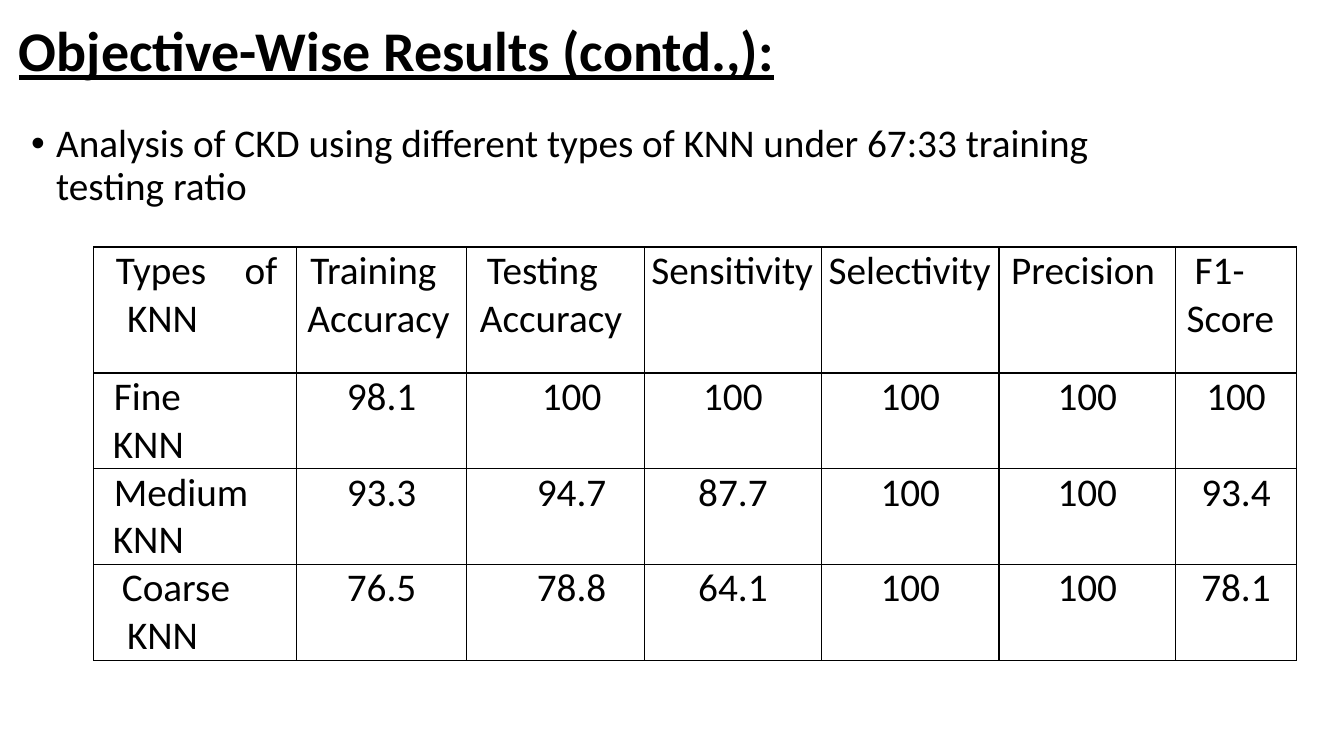
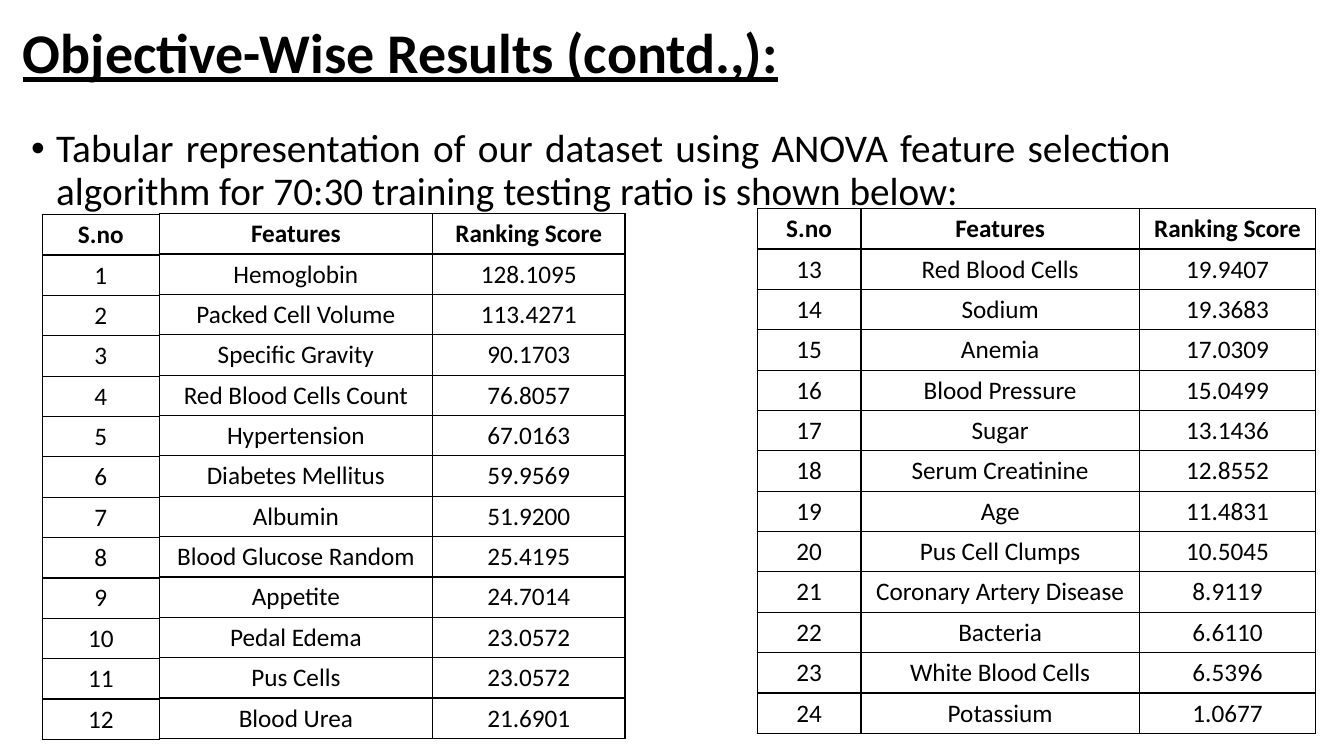
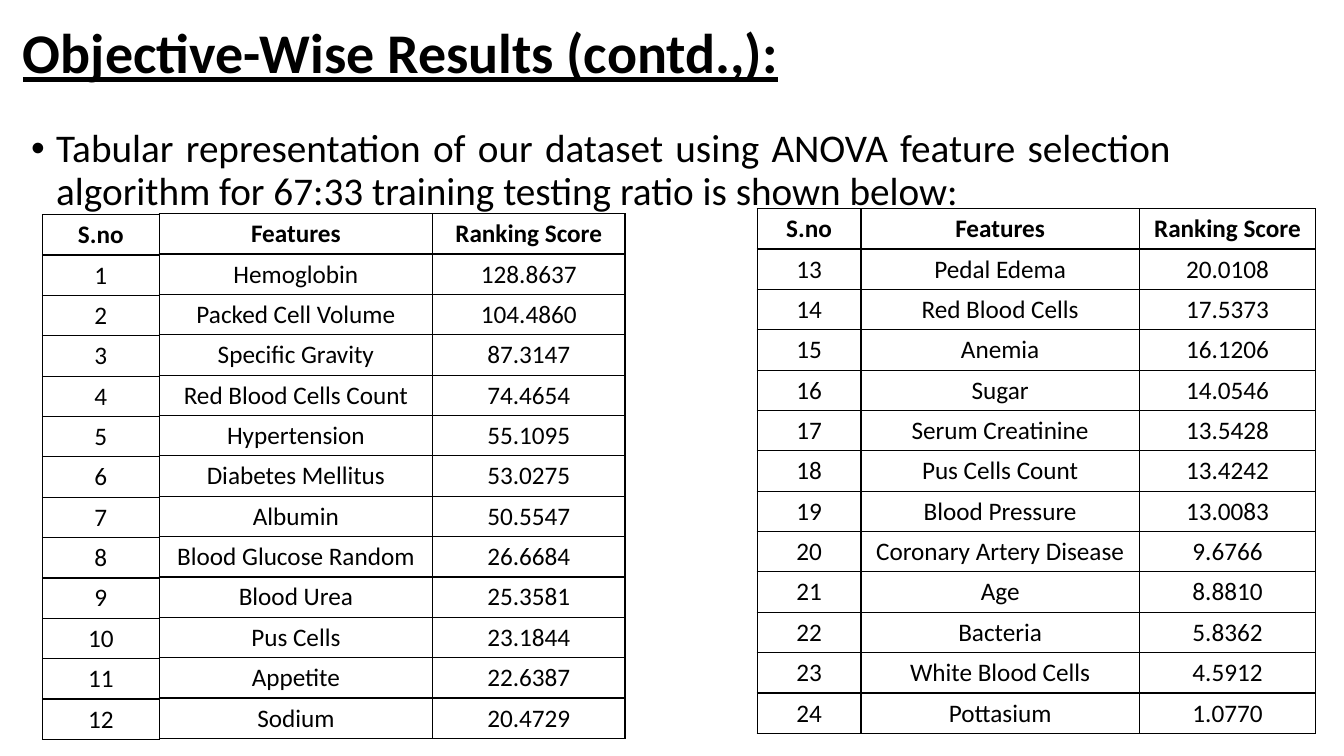
import lxml.etree
import pptx
import pptx.dml.color
import pptx.enum.text
import pptx.oxml.ns
import pptx.util

Inches = pptx.util.Inches
Pt = pptx.util.Pt
qn = pptx.oxml.ns.qn
ALIGN = pptx.enum.text.PP_ALIGN
ANCHOR = pptx.enum.text.MSO_ANCHOR
LEFT, MID, JUST = ALIGN.LEFT, ALIGN.CENTER, ALIGN.JUSTIFY

BLACK = pptx.dml.color.RGBColor(0, 0, 0)
TITLE = {"name": "Calibri", "size": Pt(40), "bold": True, "underline": True}
BODY = {"name": "Calibri", "size": Pt(28), "bold": False}
CELL = {"name": "Calibri", "size": Pt(18), "bold": False}
HEAD = {**CELL, "bold": True}

HEADING = "Objective-Wise Results (contd.,):"
KNN_NOTE = "Analysis of CKD using different types of KNN under 67:33 training testing ratio"
RANK_NOTE = (
    "Tabular representation of our dataset using ANOVA feature selection "
    "algorithm for {} training testing ratio is shown below:"
)

KNN_COLS = [2.01, 1.69, 1.76, 1.76, 1.76, 1.75, 1.2]
KNN_ROWS = [1.25, 0.95, 0.95, 0.95]
KNN_HEAD = [
    [("Types of KNN", JUST, 0.33, -0.11, 0.19)],
    [("Training Accuracy", JUST, 0.11, 0.03, 0)],
    [("Testing Accuracy", JUST, 0.13, 0.07, 0)],
    [("Sensitivity", JUST, 0.07, 0, 0)],
    [("Selectivity", JUST, 0.07, 0, 0)],
    [("Precision", JUST, 0.12, 0, 0)],
    [("F1-", JUST, 0.19, 0, 0), ("Score", JUST, 0.11, 0, 0)],
]
KNN_PADS = [(0.27, 0.27), (0.32, 0), (0.07, 0.07), (0.07, 0.07), (0.12, 0.12), (0.1, 0.1)]
KNN_DATA = [
    ("Fine", JUST, 0.2, 0.19, ["98.1", "100", "100", "100", "100", "100"]),
    ("Medium", JUST, 0.2, 0.19, ["93.3", "94.7", "87.7", "100", "100", "93.4"]),
    ("Coarse", LEFT, 0.28, 0.33, ["76.5", "78.8", "64.1", "100", "100", "78.1"]),
]

RANK_HEAD = ("S.no", "Features", "Ranking Score")
ROW = 0.4
HALF = 12
RANKS = {
    "70:30": [
        ("Hemoglobin", "128.1095"),
        ("Packed Cell Volume", "113.4271"),
        ("Specific Gravity", "90.1703"),
        ("Red Blood Cells Count", "76.8057"),
        ("Hypertension", "67.0163"),
        ("Diabetes Mellitus", "59.9569"),
        ("Albumin", "51.9200"),
        ("Blood Glucose Random", "25.4195"),
        ("Appetite", "24.7014"),
        ("Pedal Edema", "23.0572"),
        ("Pus Cells", "23.0572"),
        ("Blood Urea", "21.6901"),
        ("Red Blood Cells", "19.9407"),
        ("Sodium", "19.3683"),
        ("Anemia", "17.0309"),
        ("Blood Pressure", "15.0499"),
        ("Sugar", "13.1436"),
        ("Serum Creatinine", "12.8552"),
        ("Age", "11.4831"),
        ("Pus Cell Clumps", "10.5045"),
        ("Coronary Artery Disease", "8.9119"),
        ("Bacteria", "6.6110"),
        ("White Blood Cells", "6.5396"),
        ("Potassium", "1.0677"),
    ],
    "67:33": [
        ("Hemoglobin", "128.8637"),
        ("Packed Cell Volume", "104.4860"),
        ("Specific Gravity", "87.3147"),
        ("Red Blood Cells Count", "74.4654"),
        ("Hypertension", "55.1095"),
        ("Diabetes Mellitus", "53.0275"),
        ("Albumin", "50.5547"),
        ("Blood Glucose Random", "26.6684"),
        ("Blood Urea", "25.3581"),
        ("Pus Cells", "23.1844"),
        ("Appetite", "22.6387"),
        ("Sodium", "20.4729"),
        ("Pedal Edema", "20.0108"),
        ("Red Blood Cells", "17.5373"),
        ("Anemia", "16.1206"),
        ("Sugar", "14.0546"),
        ("Serum Creatinine", "13.5428"),
        ("Pus Cells Count", "13.4242"),
        ("Blood Pressure", "13.0083"),
        ("Coronary Artery Disease", "9.6766"),
        ("Age", "8.8810"),
        ("Bacteria", "5.8362"),
        ("White Blood Cells", "4.5912"),
        ("Pottasium", "1.0770"),
    ],
}


def style(font, look):
    for key, val in look.items():
        setattr(font, key, val)
    font.color.rgb = BLACK


def indent(para, left, first, right=0):
    props = para._p.get_or_add_pPr()
    for key, val in {"marL": left, "indent": first, "marR": right}.items():
        props.set(key, str(int(Inches(val))))
    return props


def write(slide, text, box, look, align=LEFT, anchor=ANCHOR.TOP):
    frame = slide.shapes.add_textbox(*map(Inches, box)).text_frame
    frame.word_wrap = True
    frame.vertical_anchor = anchor
    para = frame.paragraphs[0]
    para.alignment = align
    para.line_spacing = 0.9
    run = para.add_run()
    run.text = text
    style(run.font, look)
    return para


def start(deck, title, top, note, align):
    slide = deck.slides.add_slide(deck.slide_layouts[6])
    write(slide, HEADING, title, TITLE, anchor=ANCHOR.MIDDLE)
    para = write(slide, note, (0.21, top, 11.5, 4.76), BODY, align)
    props = indent(para, 0.25, -0.25)
    lxml.etree.SubElement(props, qn("a:buFont"), typeface="Arial")
    lxml.etree.SubElement(props, qn("a:buChar"), char="•")
    return slide


def border(cell):
    props = cell._tc.get_or_add_tcPr()
    for spot, side in enumerate(("a:lnL", "a:lnR", "a:lnT", "a:lnB")):
        line = lxml.etree.Element(qn(side), w=str(int(Pt(1))))
        fill = lxml.etree.SubElement(line, qn("a:solidFill"))
        lxml.etree.SubElement(fill, qn("a:srgbClr"), val=str(BLACK))
        props.insert(spot, line)


def grid(slide, left, top, cols, rows, data, head, body, pad=None):
    size = map(Inches, (left, top, sum(cols), sum(rows)))
    table = slide.shapes.add_table(len(rows), len(cols), *size).table
    table.first_row = table.horz_banding = False
    for col, width in zip(table.columns, cols):
        col.width = Inches(width)
    for row, height in zip(table.rows, rows):
        row.height = Inches(height)
    for r, line in enumerate(data):
        for c, paras in enumerate(line):
            cell = table.cell(r, c)
            cell.fill.background()
            border(cell)
            if pad is not None:
                for side in ("left", "right", "top", "bottom"):
                    setattr(cell, "margin_" + side, Inches(pad))
            frame = cell.text_frame
            for n, (text, align, *dents) in enumerate(paras):
                para = frame.add_paragraph() if n else frame.paragraphs[0]
                para.alignment = align
                indent(para, *dents)
                run = para.add_run()
                run.text = text
                style(run.font, body if r else head)


def knn(deck):
    slide = start(deck, (0.09, 0.12, 11.5, 0.82), 1.18, KNN_NOTE, LEFT)
    data = [KNN_HEAD]
    for name, align, first, second, scores in KNN_DATA:
        label = [(name, align, first, 0, 0), ("KNN", JUST, second, 0, 0)]
        cells = [[(score, MID, left, 0, right)]
                 for score, (left, right) in zip(scores, KNN_PADS)]
        data.append([label] + cells)
    grid(slide, 0.93, 2.45, KNN_COLS, KNN_ROWS, data, BODY, BODY, 0)


def rank(deck, ratio, pairs):
    slide = start(deck, (0.13, 0.11, 11.5, 0.88), 1.23, RANK_NOTE.format(ratio), JUST)
    lines = [(str(n), *pair) for n, pair in enumerate(pairs, 1)]
    low, high = [[RANK_HEAD] + part for part in (lines[:HALF], lines[HALF:])]
    parts = [
        (1.58, 2.12, [2.71, 1.91], [line[1:] for line in low]),
        (0.42, 2.13, [1.16], [line[:1] for line in low]),
        (7.51, 2.07, [1.03, 2.76, 1.75], high),
    ]
    for left, top, cols, texts in parts:
        data = [[[(text, MID, 0, 0)] for text in line] for line in texts]
        grid(slide, left, top, cols, [ROW] * len(data), data, HEAD, CELL)


def main():
    deck = pptx.Presentation()
    deck.slide_width, deck.slide_height = Inches(13.33), Inches(7.5)
    knn(deck)
    for ratio, pairs in RANKS.items():
        rank(deck, ratio, pairs)
    deck.save("out.pptx")


if __name__ == "__main__":
    main()
